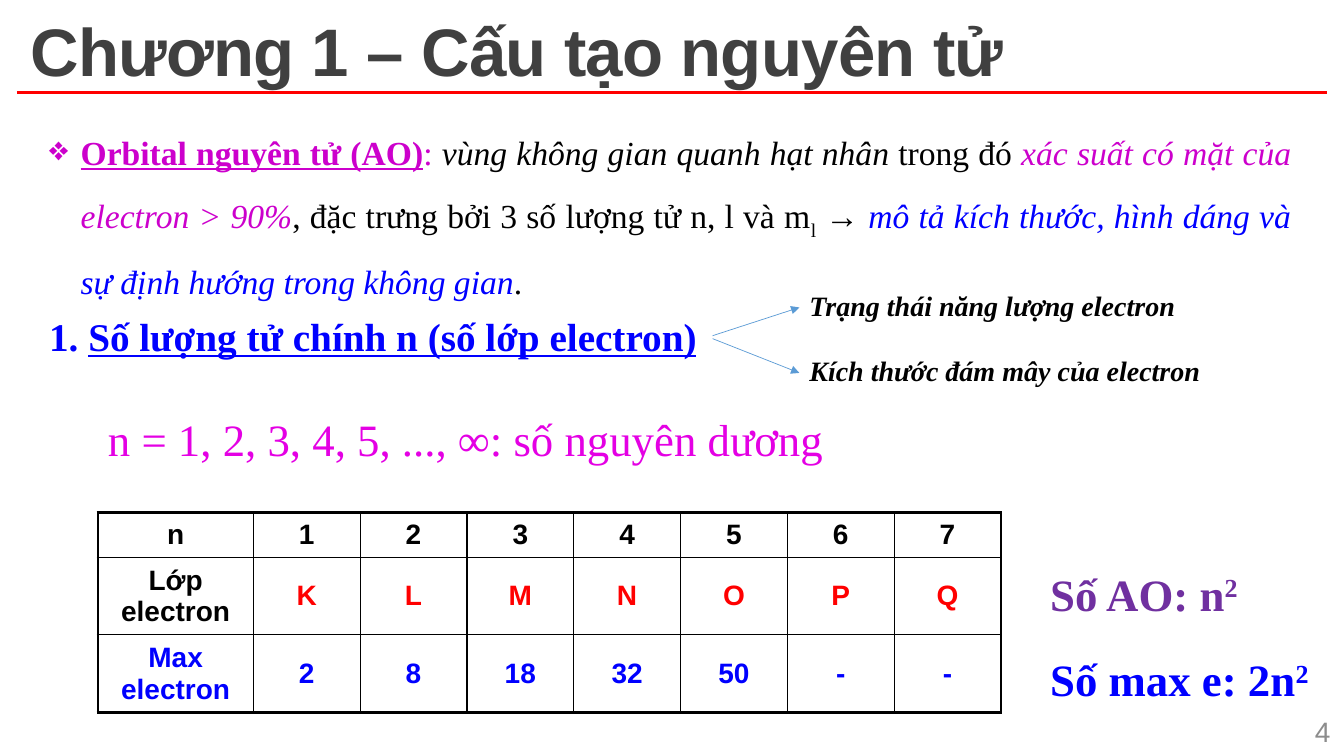
from lxml.etree import SubElement
from pptx import Presentation
from pptx.dml.color import RGBColor
from pptx.enum.shapes import MSO_CONNECTOR
from pptx.enum.text import MSO_ANCHOR, MSO_AUTO_SIZE, PP_ALIGN
from pptx.oxml.ns import qn
from pptx.util import Pt

COLORS = {
    "title": "404040",
    "black": "000000",
    "red": "FF0000",
    "blue": "0000FF",
    "purple": "CC00CC",
    "magenta": "E400E4",
    "violet": "7030A0",
    "arrow": "5B9BD5",
    "number": "8C8C8C",
}
SERIF = "Times New Roman"
SANS = "Arial"


def color(name):
    return RGBColor.from_string(COLORS[name])


def add_run(paragraph, text, size, ink, font=SERIF, bold=False, italic=False,
            underline=False, baseline=0, spacing=0):
    run = paragraph.add_run()
    run.text = text
    run.font.name = font
    run.font.size = Pt(size)
    run.font.color.rgb = color(ink)
    run.font.bold = bold
    run.font.italic = italic
    run.font.underline = underline
    properties = run._r.get_or_add_rPr()
    if baseline:
        properties.set("baseline", str(baseline * 1000))
    if spacing:
        properties.set("spc", str(int(spacing * 100)))


def add_text(slide, left, top, width, height, wrap=False):
    shape = slide.shapes.add_textbox(Pt(left), Pt(top), Pt(width), Pt(height))
    shape.text_frame.word_wrap = wrap
    return shape.text_frame


def add_line(slide, start, end, ink, weight, arrow=False):
    line = slide.shapes.add_connector(
        MSO_CONNECTOR.STRAIGHT, Pt(start[0]), Pt(start[1]), Pt(end[0]), Pt(end[1]))
    line.line.color.rgb = color(ink)
    line.line.width = Pt(weight)
    if arrow:
        SubElement(line.line._get_or_add_ln(), qn("a:tailEnd"), type="triangle")
    SubElement(line._element.spPr, qn("a:effectLst"))


def format_title(slide, text):
    title = slide.shapes.title
    title.left, title.top, title.width, title.height = Pt(14.4), Pt(9.4), Pt(725), Pt(46)
    frame = title.text_frame
    frame.auto_size = MSO_AUTO_SIZE.NONE
    frame.vertical_anchor = MSO_ANCHOR.TOP
    frame.margin_top = Pt(6)
    paragraph = frame.paragraphs[0]
    paragraph.alignment = PP_ALIGN.LEFT
    paragraph.line_spacing = 0.85
    add_run(paragraph, text, 48, "title", SANS, bold=True, spacing=-0.5)


def add_definition(slide):
    paragraph = add_text(slide, 28, 76.3, 901.4, 133, wrap=True).paragraphs[0]
    paragraph.alignment = PP_ALIGN.JUSTIFY
    paragraph.line_spacing = 1.5
    properties = paragraph._p.get_or_add_pPr()
    properties.set("marL", str(Pt(22.5)))
    properties.set("indent", str(-Pt(22.5)))
    SubElement(properties, qn("a:buChar"), char="❖")
    add_run(paragraph, "Orbital nguyên tử (AO)", 24, "purple", bold=True, underline=True)
    add_run(paragraph, ": ", 24, "purple")
    add_run(paragraph, "vùng không gian quanh hạt nhân ", 24, "black", italic=True)
    add_run(paragraph, "trong đó ", 24, "black")
    add_run(paragraph, "xác suất có mặt của electron > 90%", 24, "purple", italic=True)
    add_run(paragraph, ", đặc trưng bởi 3 số lượng tử n, l và m", 24, "black")
    add_run(paragraph, "l", 24, "black", baseline=-25)
    add_run(paragraph, " → ", 24, "black")
    add_run(paragraph, "mô tả kích thước, hình dáng và sự định hướng trong không gian",
            24, "blue", italic=True)
    add_run(paragraph, ".", 24, "black")


def add_border(cell, side, weight):
    line = SubElement(cell._tc.get_or_add_tcPr(), qn(f"a:ln{side}"), w=str(Pt(weight)))
    fill = SubElement(line, qn("a:solidFill"))
    SubElement(fill, qn("a:srgbClr"), val=COLORS["black"])


def add_shell_table(slide):
    rows = [
        ("n", "1", "2", "3", "4", "5", "6", "7"),
        ("Lớp electron", *"KLMNOPQ"),
        ("Max electron", "2", "8", "18", "32", "50", "-", "-"),
    ]
    inks = [("black", "black"), ("black", "red"), ("blue", "blue")]
    heights = [32, 55.5, 55.5]
    widths = [111] + [76.3] * 7
    last_row, last_column = len(rows) - 1, len(widths) - 1
    table = slide.shapes.add_table(
        len(rows), len(widths), Pt(70), Pt(366), Pt(sum(widths)), Pt(sum(heights))).table
    table.first_row = False
    table.horz_banding = False
    for column, width in zip(table.columns, widths):
        column.width = Pt(width)
    for row_index, texts in enumerate(rows):
        table.rows[row_index].height = Pt(heights[row_index])
        for column_index, text in enumerate(texts):
            cell = table.cell(row_index, column_index)
            cell.vertical_anchor = MSO_ANCHOR.MIDDLE
            outer = {
                "L": column_index == 0,
                "R": column_index == last_column,
                "T": row_index == 0,
                "B": row_index == last_row,
            }
            for side, is_outer in outer.items():
                add_border(cell, side, 2.25 if is_outer else 1)
            cell.fill.background()
            paragraph = cell.text_frame.paragraphs[0]
            paragraph.alignment = PP_ALIGN.CENTER
            add_run(paragraph, text, 20, inks[row_index][column_index > 0], SANS, bold=True)


def add_formula(slide, top, width, text, ink):
    paragraph = add_text(slide, 743, top, width, 46).paragraphs[0]
    add_run(paragraph, text, 32, ink, bold=True)
    add_run(paragraph, "2", 32, ink, bold=True, baseline=30)


def add_meaning(slide, top, width, text, start, end):
    add_line(slide, start, end, "arrow", 0.5, arrow=True)
    paragraph = add_text(slide, 571, top, width, 31.5).paragraphs[0]
    add_run(paragraph, text, 20, "black", bold=True, italic=True)


def main():
    presentation = Presentation()
    presentation.slide_width, presentation.slide_height = Pt(960), Pt(540)
    slide = presentation.slides.add_slide(presentation.slide_layouts[5])

    format_title(slide, "Chương 1 – Cấu tạo nguyên tử")
    add_line(slide, (12, 66.2), (948, 66.2), "red", 2.25)
    add_definition(slide)

    heading = add_text(slide, 28, 219.6, 481, 41, wrap=True).paragraphs[0]
    heading.space_after = Pt(6)
    add_run(heading, "1. ", 28, "blue", bold=True)
    add_run(heading, "Số lượng tử chính n (số lớp electron)", 28, "blue",
            bold=True, underline=True)
    add_meaning(slide, 202.3, 288, "Trạng thái năng lượng electron",
                (509, 239.8), (571, 219.6))
    add_meaning(slide, 249.1, 311, "Kích thước đám mây của electron",
                (509, 241.9), (571, 266.4))

    values = add_text(slide, 70, 290.2, 530, 46).paragraphs[0]
    add_run(values, "n = 1, 2, 3, 4, 5, ..., ∞: số nguyên dương", 32, "magenta")

    add_shell_table(slide)
    add_formula(slide, 401, 151, "Số AO: n", "violet")
    add_formula(slide, 462.2, 202.3, "Số max e: 2n", "blue")

    number = add_text(slide, 929.5, 508.3, 28, 28.8, wrap=True)
    number.vertical_anchor = MSO_ANCHOR.MIDDLE
    number.paragraphs[0].alignment = PP_ALIGN.RIGHT
    add_run(number.paragraphs[0], "4", 20, "number", SANS)

    presentation.save("out.pptx")


if __name__ == "__main__":
    main()
